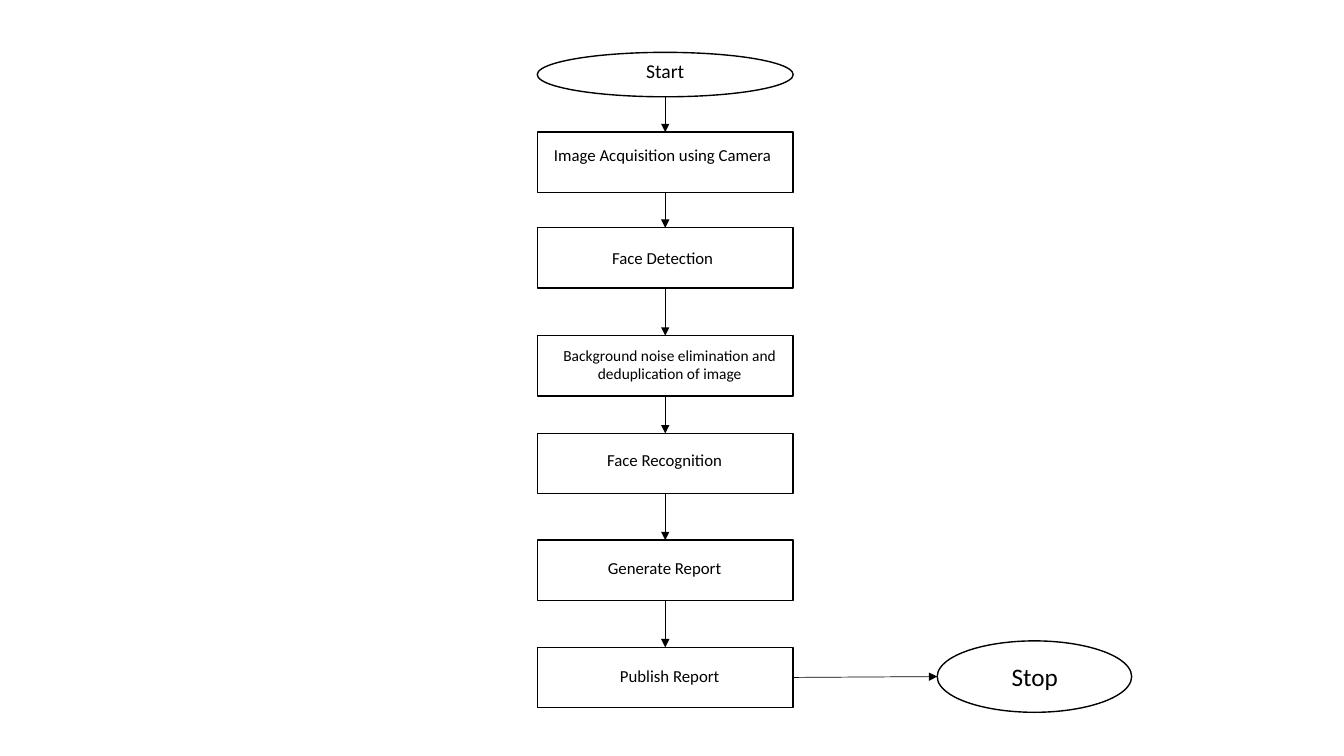
"""Build the flowchart slide of the face recognition process."""
from itertools import pairwise

from lxml.etree import SubElement
from pptx import Presentation
from pptx.dml.color import RGBColor
from pptx.enum.shapes import MSO_CONNECTOR as Connector, MSO_SHAPE as Shape
from pptx.enum.text import PP_ALIGN as Align
from pptx.oxml.ns import qn
from pptx.util import Cm, Pt

INK, PAPER = "000000", "FFFFFF"
COLUMN_LEFT, COLUMN_WIDTH, STEP_HEIGHT = 13.54, 6.45, 1.52
LABEL_WIDTH = 6.68

# text, step top, label left, label top, label height, size
STEPS = [
    ("Image Acquisition using Camera", 3.33, 13.36, 3.51, 1.27, 12),
    ("Face Detection", 5.74, 13.36, 6.12, 0.76, 12),
    ("Background noise elimination and deduplication of image", 8.46, 13.54, 8.59, 1.19, 11),
    ("Face Recognition", 10.92, 13.41, 11.2, 0.76, 12),
    ("Generate Report", 13.61, 13.41, 13.94, 0.76, 12),
    ("Publish Report", 16.31, 13.54, 16.66, 0.76, 12),
]
START = {"text": "Start", "outline": (COLUMN_LEFT, 1.32, COLUMN_WIDTH, 1.12),
         "label": (15.9, 1.37, 1.73, 0.86), "size": 14}
STOP = {"text": "Stop", "outline": (23.62, 16.15, 4.9, 1.8),
        "label": (25.15, 16.54, 1.85, 1.02), "size": 18}


def paint(color_format, color):
    color_format.rgb = RGBColor.from_string(color)


def add_outline(slide, kind, box):
    outline = slide.shapes.add_shape(kind, *map(Cm, box))
    outline.shadow.inherit = False
    outline.fill.solid()
    paint(outline.fill.fore_color, PAPER)
    paint(outline.line.color, INK)
    outline.line.width = Pt(1)
    return outline


def add_label(slide, text, box, size=12, wrap=True, color=INK, font="Calibri"):
    frame = slide.shapes.add_textbox(*map(Cm, box)).text_frame
    frame.word_wrap = wrap
    paragraph = frame.paragraphs[0]
    paragraph.alignment = Align.CENTER
    run = paragraph.add_run()
    run.text = text
    run.font.name = font
    run.font.size = Pt(size)
    paint(run.font.color, color)


def add_arrow(slide, begin, end):
    arrow = slide.shapes.add_connector(Connector.STRAIGHT, *map(Cm, begin + end))
    paint(arrow.line.color, INK)
    arrow.line.width = Pt(0.5)
    SubElement(arrow.line._get_or_add_ln(), qn("a:tailEnd"), type="triangle")
    SubElement(arrow._element.spPr, qn("a:effectLst"))
    return arrow


def add_terminal(slide, terminal):
    add_outline(slide, Shape.OVAL, terminal["outline"])
    add_label(slide, terminal["text"], terminal["label"], size=terminal["size"], wrap=False)


def main():
    deck = Presentation()
    deck.slide_width, deck.slide_height = Cm(33.87), Cm(19.05)
    slide = deck.slides.add_slide(deck.slide_layouts[6])

    add_terminal(slide, START)
    steps = []
    for text, top, label_left, label_top, label_height, size in STEPS:
        steps.append(add_outline(slide, Shape.RECTANGLE,
                                 (COLUMN_LEFT, top, COLUMN_WIDTH, STEP_HEIGHT)))
        add_label(slide, text, (label_left, label_top, LABEL_WIDTH, label_height), size=size)
    add_terminal(slide, STOP)

    center = COLUMN_LEFT + COLUMN_WIDTH / 2
    _, start_top, _, start_height = START["outline"]
    first_top, last_top = STEPS[0][1], STEPS[-1][1]
    add_arrow(slide, (center, start_top + start_height), (center, first_top)).end_connect(steps[0], 0)

    for (upper, lower), (above, below) in zip(pairwise(steps), pairwise(STEPS)):
        arrow = add_arrow(slide, (center, above[1] + STEP_HEIGHT), (center, below[1]))
        arrow.begin_connect(upper, 2)
        arrow.end_connect(lower, 0)

    stop_left, stop_top, _, stop_height = STOP["outline"]
    add_arrow(slide, (COLUMN_LEFT + COLUMN_WIDTH, last_top + STEP_HEIGHT / 2),
              (stop_left, stop_top + stop_height / 2)).begin_connect(steps[-1], 3)

    deck.save("out.pptx")


if __name__ == "__main__":
    main()
